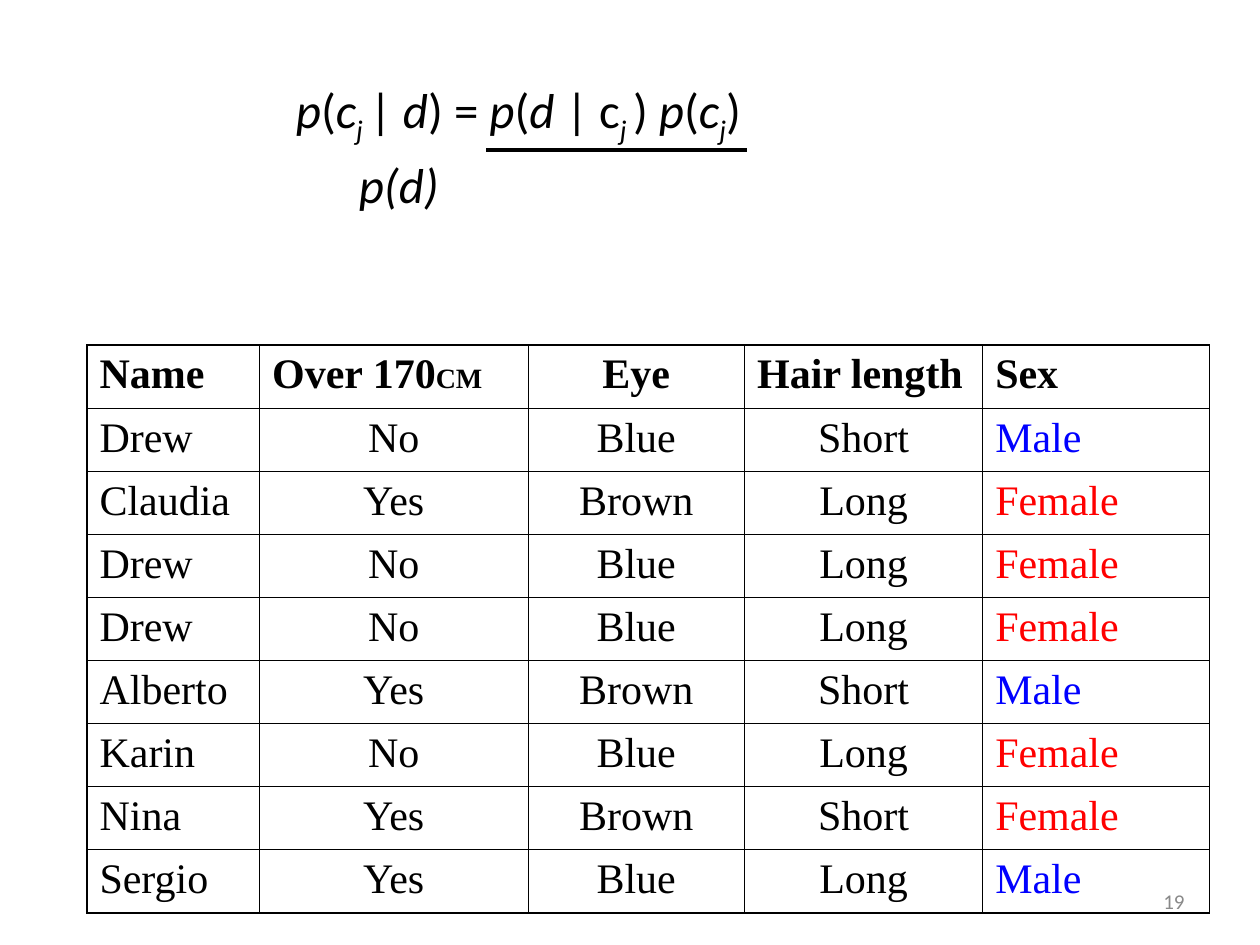
"""Build a slide with Bayes' rule above a table of people."""
from lxml.etree import SubElement as Sub
from pptx import Presentation
from pptx.dml.color import RGBColor as Rgb
from pptx.enum.shapes import MSO_CONNECTOR as Conn
from pptx.enum.text import MSO_ANCHOR as Anchor, PP_ALIGN as Align
from pptx.oxml.ns import qn
from pptx.util import Inches, Pt

COLORS = {"ink": "000000", "Male": "0000FF", "Female": "FF0000", "page": "898989"}
SERIF, SANS = "Times New Roman", "Calibri"
WIDTHS = [1.37, 2.13, 1.72, 1.89, 1.8]
ROW = 0.5
HEAD = ["Name", "Over 170", "Eye", "Hair length", "Sex"]
PEOPLE = [
    ["Drew", "No", "Blue", "Short", "Male"],
    ["Claudia", "Yes", "Brown", "Long", "Female"],
    ["Drew", "No", "Blue", "Long", "Female"],
    ["Drew", "No", "Blue", "Long", "Female"],
    ["Alberto", "Yes", "Brown", "Short", "Male"],
    ["Karin", "No", "Blue", "Long", "Female"],
    ["Nina", "Yes", "Brown", "Short", "Female"],
    ["Sergio", "Yes", "Blue", "Long", "Male"],
]
RULE = [
    ("p", "i"), ("(", ""), ("c", "i"), ("j ", "sub"), ("| ", ""), ("d", "i"),
    (") = ", ""), ("p", "i"), ("(", ""), ("d ", "i"), ("| c", ""), ("j ", "sub"),
    (") ", ""), ("p", "i"), ("(", ""), ("c", "i"), ("j", "sub"), (")", ""),
]


def add_run(para, text, size, font, color="ink", bold=False, italic=False):
    """Append one styled run and return it."""
    run = para.add_run()
    run.text = text
    face = run.font
    face.size, face.name, face.bold, face.italic = Pt(size), font, bold, italic
    face.color.rgb = Rgb.from_string(COLORS[color])
    return run


def add_box(slide, left, top, width, height):
    """Add a wrapping text box and return its frame."""
    box = slide.shapes.add_textbox(*map(Inches, (left, top, width, height)))
    box.text_frame.word_wrap = True
    return box.text_frame


def add_rule(slide):
    """Write the formula with its denominator on a second line."""
    para = add_box(slide, 2.25, 0.5, 5.14, 1.72).paragraphs[0]
    para.line_spacing, para.space_before = 1.15, Pt(17.5)
    for text, style in RULE:
        run = add_run(para, text, 28, SANS, italic=style != "")
        if style == "sub":
            run.font._element.set("baseline", "-25000")
    para.add_line_break()
    add_run(para, "\tp(d)", 28, SANS, italic=True)


def add_bar(slide):
    """Draw the fraction bar."""
    ends = map(Inches, (3.86, 1.19, 5.93, 1.19))
    bar = slide.shapes.add_connector(Conn.STRAIGHT, *ends)
    bar.line.width = Pt(2.75)
    bar.line.color.rgb = Rgb.from_string(COLORS["ink"])
    Sub(bar._element.spPr, qn("a:effectLst"))


def set_edges(cell, outer):
    """Give a cell thick outer and thin inner borders."""
    props = cell._tc.get_or_add_tcPr()
    for side in "LRTB":
        width = Pt(1.08 if side in outer else 0.45)
        line = Sub(props, qn(f"a:ln{side}"), w=str(width))
        fill = Sub(line, qn("a:solidFill"))
        Sub(fill, qn("a:srgbClr"), val=COLORS["ink"])


def add_people(slide):
    """Add the table of people."""
    rows = [HEAD] + PEOPLE
    size = (0.69, 2.74, sum(WIDTHS), ROW * len(rows))
    table = slide.shapes.add_table(len(rows), len(HEAD), *map(Inches, size)).table
    table.first_row = table.horz_banding = False
    for col, width in zip(table.columns, WIDTHS):
        col.width = Inches(width)
    for r, row in enumerate(rows):
        table.rows[r].height = Inches(ROW)
        for c, text in enumerate(row):
            cell = table.cell(r, c)
            edges = {"T": r == 0, "B": r == len(PEOPLE), "L": c == 0, "R": c == len(HEAD) - 1}
            set_edges(cell, [side for side, outer in edges.items() if outer])
            cell.fill.background()
            para = cell.text_frame.paragraphs[0]
            middle = c == 2 or (r > 0 and c in (1, 3))
            para.alignment = Align.CENTER if middle else Align.LEFT
            unit = text == "Over 170"
            para.space_before = Pt(4 if unit else 6)
            color = text if text in COLORS else "ink"
            add_run(para, text, 24, SERIF, color, bold=r == 0)
            if unit:
                add_run(para, "CM", 16, SERIF, bold=True)


def add_page(slide):
    """Add the page number."""
    frame = add_box(slide, 7.17, 6.95, 2.33, 0.4)
    frame.vertical_anchor = Anchor.MIDDLE
    para = frame.paragraphs[0]
    para.alignment = Align.RIGHT
    add_run(para, "19", 12, SANS, "page")


def main():
    """Build and save the slide."""
    deck = Presentation()
    deck.slide_width, deck.slide_height = Inches(10), Inches(7.5)
    slide = deck.slides.add_slide(deck.slide_layouts[6])
    add_page(slide)
    add_people(slide)
    add_rule(slide)
    add_bar(slide)
    deck.save("out.pptx")


if __name__ == "__main__":
    main()
